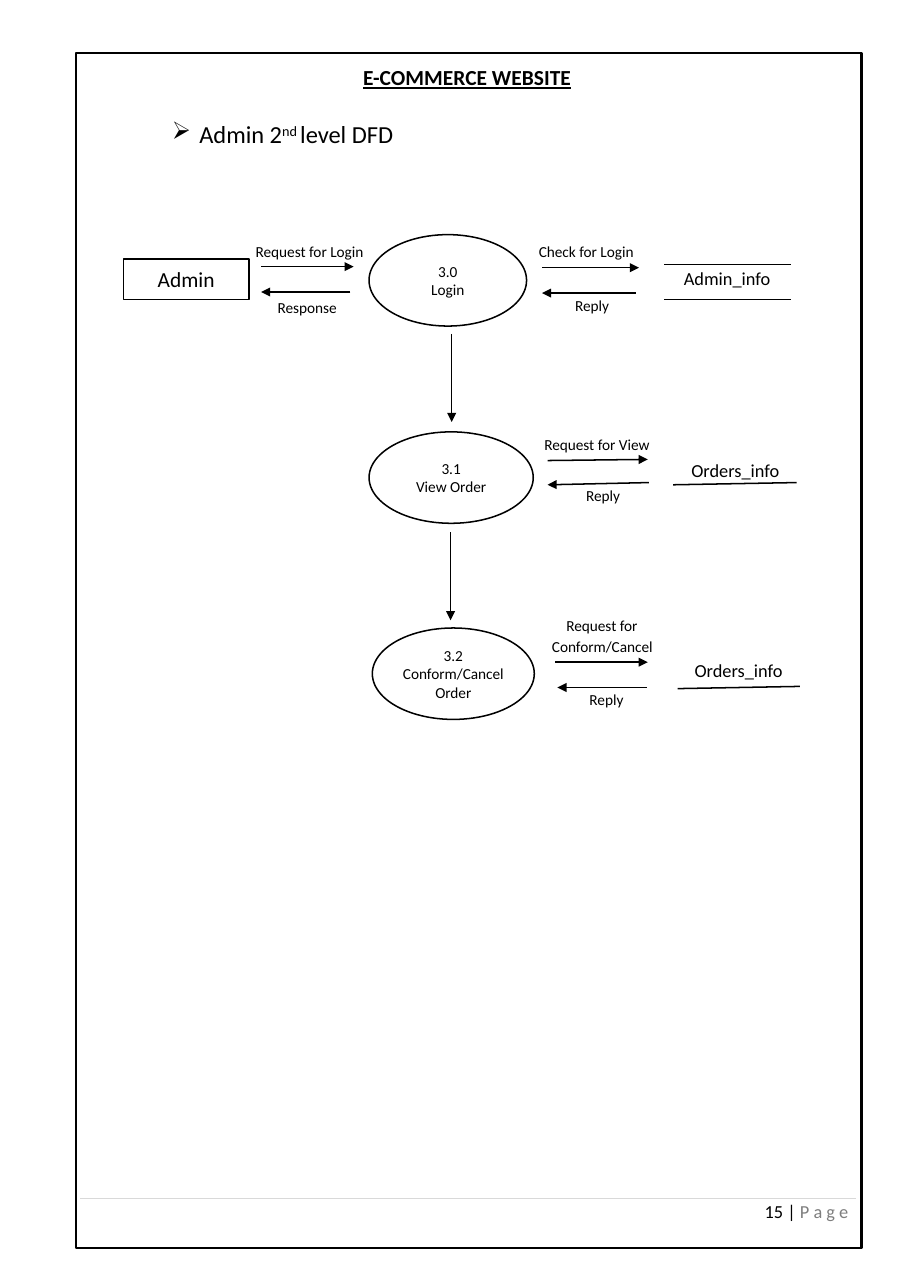
from lxml.etree import SubElement
from pptx import Presentation
from pptx.dml.color import RGBColor
from pptx.enum.shapes import MSO_CONNECTOR, MSO_SHAPE
from pptx.enum.text import MSO_ANCHOR, MSO_AUTO_SIZE, PP_ALIGN
from pptx.oxml.ns import qn
from pptx.util import Emu, Pt

SCALE = 9144
BLACK = "000000"
GREY = "7E7E7E"
PALE = "D9D9D9"


def px(n):
    return Emu(n * SCALE)


def tint(code):
    return RGBColor.from_string(code)


class Sheet:
    def __init__(self, deck):
        self.font = "Calibri"
        self.slide = deck.slides.add_slide(deck.slide_layouts[5])
        self.shapes = self.slide.shapes

    def fill(self, frame, lines, size, align):
        frame.word_wrap = True
        frame.auto_size = MSO_AUTO_SIZE.NONE
        frame.vertical_anchor = MSO_ANCHOR.MIDDLE
        frame.margin_left = frame.margin_right = 0
        frame.margin_top = frame.margin_bottom = 0
        for i, line in enumerate(lines):
            para = frame.add_paragraph() if i else frame.paragraphs[0]
            para.alignment = align
            for part in line:
                self.run(para, size, *part)

    def run(self, para, size, words, code=BLACK):
        run = para.add_run()
        run.text = words
        run.font.name = self.font
        run.font.size = Pt(size)
        run.font.color.rgb = tint(code)

    def title(self, box, words):
        shape = self.shapes.title
        shape.left, shape.top, shape.width, shape.height = map(px, box)
        self.fill(shape.text_frame, [[(words,)]], 14, PP_ALIGN.CENTER)
        font = shape.text_frame.paragraphs[0].runs[0].font
        font.bold = font.underline = True

    def text(self, box, lines, size, align=PP_ALIGN.LEFT):
        shape = self.shapes.add_textbox(*map(px, box))
        self.fill(shape.text_frame, lines, size, align)
        return shape.text_frame.paragraphs[0]

    def bullet(self, box, parts, raised):
        para = self.text(box, [parts], 16)
        props = para._p.get_or_add_pPr()
        props.set("marL", str(px(25)))
        props.set("indent", str(px(-25)))
        SubElement(props, qn("a:buChar")).set("char", "➢")
        para.runs[raised]._r.get_or_add_rPr().set("baseline", "26000")

    def node(self, kind, box, lines=(), size=10, width=1):
        shape = self.shapes.add_shape(kind, *map(px, box))
        shape.shadow.inherit = False
        shape.fill.background()
        shape.line.color.rgb = tint(BLACK)
        shape.line.width = Pt(width)
        parts = [[(line,)] for line in lines]
        self.fill(shape.text_frame, parts, size, PP_ALIGN.CENTER)

    def line(self, ends, code=BLACK, width=1.0, arrow=False):
        link = self.shapes.add_connector(MSO_CONNECTOR.STRAIGHT, *map(px, ends))
        link.line.color.rgb = tint(code)
        link.line.width = Pt(width)
        props = link._element.spPr
        if arrow:
            tail = SubElement(props.find(qn("a:ln")), qn("a:tailEnd"))
            tail.set("type", "triangle")
        SubElement(props, qn("a:effectLst"))


NODES = [
    ((335, 213, 143, 83), ["3.0", "Login"]),
    ((335, 392, 149, 83), ["3.1", "View Order"]),
    ((338, 570, 147, 83), ["3.2", "Conform/Cancel Order"]),
]
FLOWS = [
    (237, 242, 321, 242), (318, 265, 237, 265),
    (492, 243, 580, 243), (577, 266, 492, 266),
    (497, 418, 588, 417), (589, 438, 497, 440),
    (504, 601, 588, 601), (587, 624, 506, 624),
    (410, 303, 410, 383), (409, 483, 409, 563),
]
LABELS = [
    (232, 219, 101, ["Request ", "for ", "Login"]),
    (252, 269, 65, ["Response"]),
    (489, 219, 95, ["Check for ", "Login"]),
    (522, 268, 45, ["Reply"]),
    (494, 394, 101, ["Request ", "for ", "View"]),
    (532, 440, 45, ["Reply"]),
    (514, 558, 75, ["Request ", "for"]),
    (501, 577, 97, ["Conform/Cancel"]),
    (535, 625, 45, ["Reply"]),
]
STORES = [
    ((603, 241, 114, 23), "Admin_info"),
    ((609, 415, 117, 23), "Orders_info"),
    ((612, 597, 117, 23), "Orders_info"),
]
RULES = [
    (603, 240, 718, 240), (603, 272, 718, 272),
    (611, 440, 723, 438), (615, 625, 726, 623),
]


def main():
    deck = Presentation()
    deck.slide_width, deck.slide_height = px(826), px(1169)
    sheet = Sheet(deck)
    sheet.line((73, 1088, 777, 1088), PALE, 0.75)
    sheet.node(MSO_SHAPE.RECTANGLE, (69, 48, 713, 1085), width=1.5)
    sheet.title((324, 58, 200, 24), "E-COMMERCE WEBSITE")
    sheet.bullet((156, 107, 260, 28),
                 [("Admin 2",), ("nd ",), ("level ",), ("DFD",)], 1)
    sheet.node(MSO_SHAPE.RECTANGLE, (112, 235, 114, 37), ["Admin"], 14)
    for box, lines in NODES:
        sheet.node(MSO_SHAPE.OVAL, box, lines)
    for ends in FLOWS:
        sheet.line(ends, arrow=True)
    for left, top, width, parts in LABELS:
        sheet.text((left, top, width, 19), [[(part,) for part in parts]], 10)
    for box, name in STORES:
        sheet.text(box, [[(name,)]], 12, PP_ALIGN.CENTER)
    for ends in RULES:
        sheet.line(ends)
    sheet.text((694, 1090, 86, 19), [[("15 | ",), ("P a g e", GREY)]], 12)
    deck.save("out.pptx")


if __name__ == "__main__":
    main()
